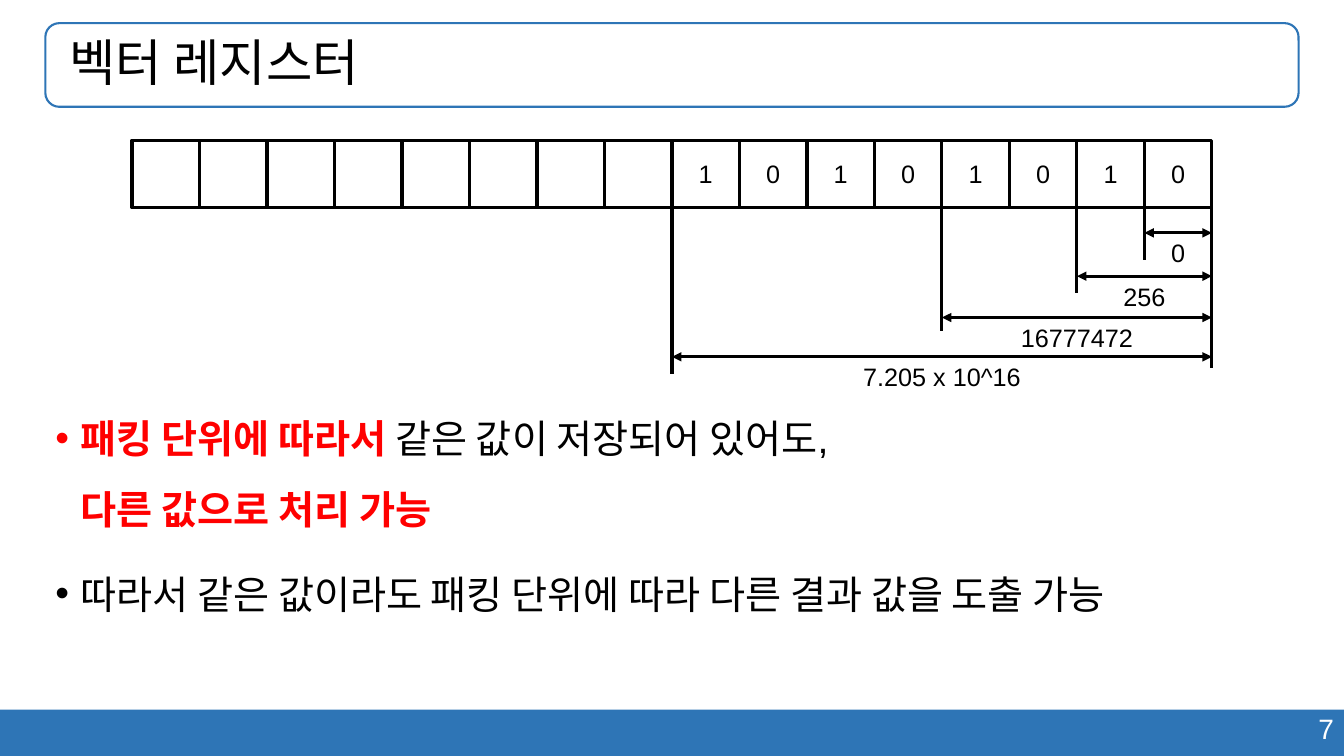
from pptx import Presentation
from pptx.dml.color import RGBColor
from pptx.enum.shapes import MSO_CONNECTOR as Connector, MSO_SHAPE as Shape
from pptx.enum.text import MSO_ANCHOR as Anchor, PP_ALIGN as Align
from pptx.oxml.ns import qn
from pptx.util import Inches, Pt
from lxml.etree import SubElement

COLORS = {"blue": "2E75B6", "black": "000000", "red": "FF0000", "white": "FFFFFF"}


def color(name):
    return RGBColor.from_string(COLORS[name])


def add_text(frame, text, size=18, ink="black", bold=False, align=Align.LEFT,
             anchor=Anchor.TOP, spacing=None, before=0, bullet=None,
             first=True, wrap=True):
    """Write one paragraph; text is a string or a list of (text, ink, bold)."""
    frame.word_wrap = wrap
    frame.vertical_anchor = anchor
    para = frame.paragraphs[0] if first else frame.add_paragraph()
    para.alignment = align
    para.space_before = Pt(before)
    if spacing:
        para.line_spacing = spacing
    if bullet:
        props = para._p.get_or_add_pPr()
        props.set("marL", str(Inches(0.25)))
        props.set("indent", str(-Inches(0.25)))
        SubElement(props, qn("a:buFont")).set("typeface", "Arial")
        SubElement(props, qn("a:buChar")).set("char", bullet)
    spans = [(text, ink, bold)] if isinstance(text, str) else text
    for words, span_ink, span_bold in spans:
        if words == "\n":
            para.add_line_break()
            continue
        span = para.add_run()
        span.text = words
        span.font.name = "Arial"
        span.font.size = Pt(size)
        span.font.bold = span_bold
        span.font.color.rgb = color(span_ink)


class Page:
    font_line = 2.25

    def __init__(self, deck):
        self.slide = deck.slides.add_slide(deck.slide_layouts[6])

    def shape(self, kind, left, top, width, height, fill=None, line=None,
              weight=font_line, parent=None):
        shapes = (parent or self.slide).shapes
        box = shapes.add_shape(kind, Inches(left), Inches(top),
                               Inches(width), Inches(height))
        box.shadow.inherit = False
        if fill:
            box.fill.solid()
            box.fill.fore_color.rgb = color(fill)
        else:
            box.fill.background()
        if line:
            box.line.color.rgb = color(line)
            box.line.width = Pt(weight)
        else:
            box.line.fill.background()
        return box

    def text(self, left, top, width, height):
        box = self.slide.shapes.add_textbox(Inches(left), Inches(top),
                                            Inches(width), Inches(height))
        return box.text_frame

    def line(self, x1, y1, x2, y2, arrows=False):
        rule = self.slide.shapes.add_connector(
            Connector.STRAIGHT, Inches(x1), Inches(y1), Inches(x2), Inches(y2))
        rule.line.color.rgb = color("black")
        rule.line.width = Pt(self.font_line)
        if arrows:
            for end in ("a:headEnd", "a:tailEnd"):
                SubElement(rule.line._get_or_add_ln(), qn(end)).set("type", "triangle")
        SubElement(rule._element.spPr, qn("a:effectLst"))


def main():
    deck = Presentation()
    deck.slide_width, deck.slide_height = Inches(13.33), Inches(7.5)
    page = Page(deck)

    # Footer band and page number
    page.shape(Shape.RECTANGLE, 0, 7.04, 13.33, 0.46, fill="blue")
    add_text(page.text(9.43, 7.01, 3.9, 0.44), "7", size=20, ink="white",
             align=Align.RIGHT)

    # Title
    title_area = (0.45, 0.23, 12.43, 0.83)
    page.shape(Shape.ROUNDED_RECTANGLE, *title_area, line="blue", weight=1.5)
    title = page.text(*title_area)
    title.margin_left = Inches(0.24)
    add_text(title, "벡터 레지스터", size=36, anchor=Anchor.MIDDLE, spacing=0.9)

    # Explanation
    body = page.text(0.45, 3.88, 12.43, 2.91)
    body.margin_top = 0
    style = dict(size=28, spacing=1.5, bullet="•")
    add_text(body, [("패킹 단위에 따라서", "red", True),
                    (" 같은 값이 저장되어 있어도,", "black", False),
                    ("\n", "black", False),
                    ("다른 값으로 처리 가능", "red", True)], **style)
    add_text(body, "따라서 같은 값이라도 패킹 단위에 따라 다른 결과 값을 도출 가능",
             first=False, before=10, **style)

    # Register: 16 cells, the low 8 filled
    left, right, top, count = 1.31, 12.02, 1.39, 16
    cell = (right - left) / count
    register = page.slide.shapes.add_group_shape()
    for index, digit in enumerate("10101010".rjust(count)):
        box = page.shape(Shape.RECTANGLE, left + index * cell, top, cell, cell,
                         line="black", parent=register)
        if digit.strip():
            add_text(box.text_frame, digit, align=Align.CENTER, anchor=Anchor.MIDDLE)

    # Packing widths: cells, guide end, arrow height, value, label width
    middle = top + cell / 2
    page.line(right, middle, right, 3.65)
    for cells, guide_end, arrow_y, value, width in [
            (1, 2.58, 2.31, "0", 0.34),
            (2, 2.91, 2.74, "256", 0.62),
            (4, 3.28, 3.15, "16777472", 1.32),
            (8, 3.71, 3.54, "7.205 x 10^16", 1.78)]:
        start = right - cells * cell
        page.line(start, middle, start, guide_end)
        page.line(start, arrow_y, right, arrow_y, arrows=True)
        label = page.text((start + right - width) / 2, arrow_y, width, 0.4)
        add_text(label, value, align=Align.CENTER, wrap=False)

    deck.save("out.pptx")


if __name__ == "__main__":
    main()
